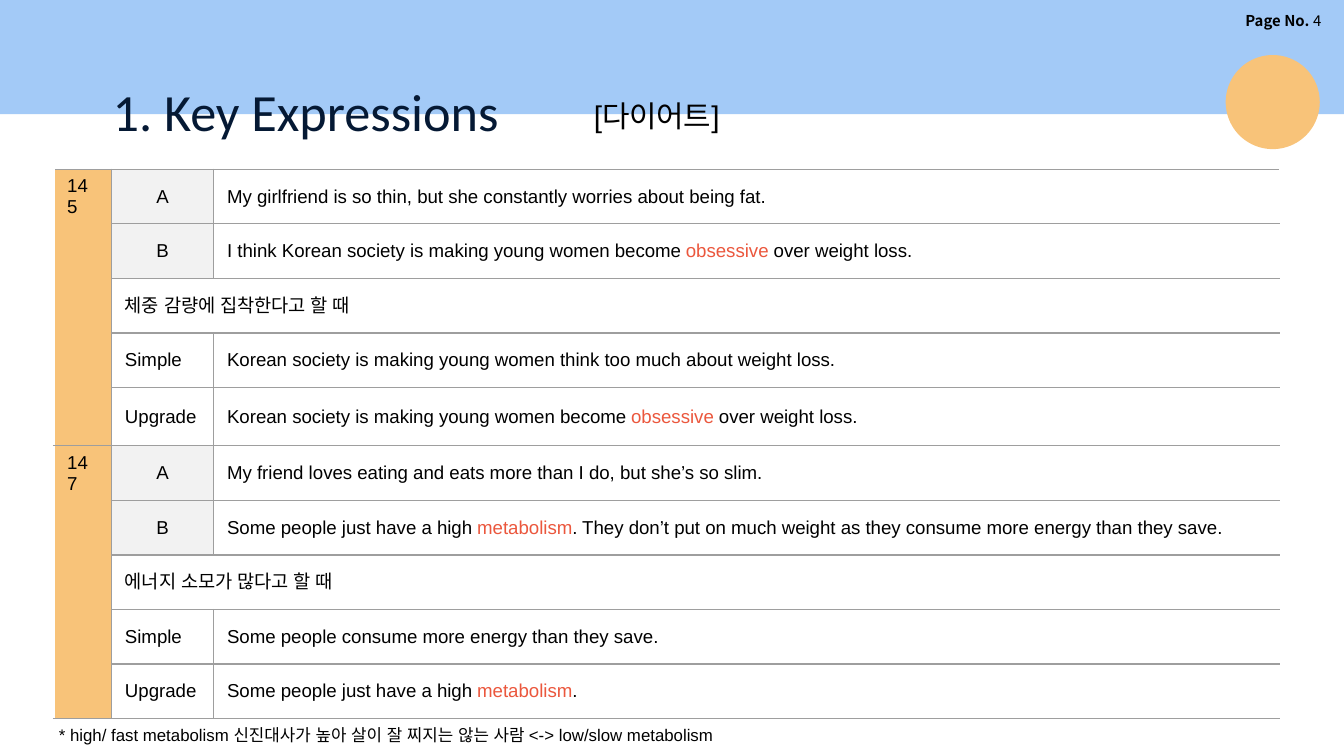
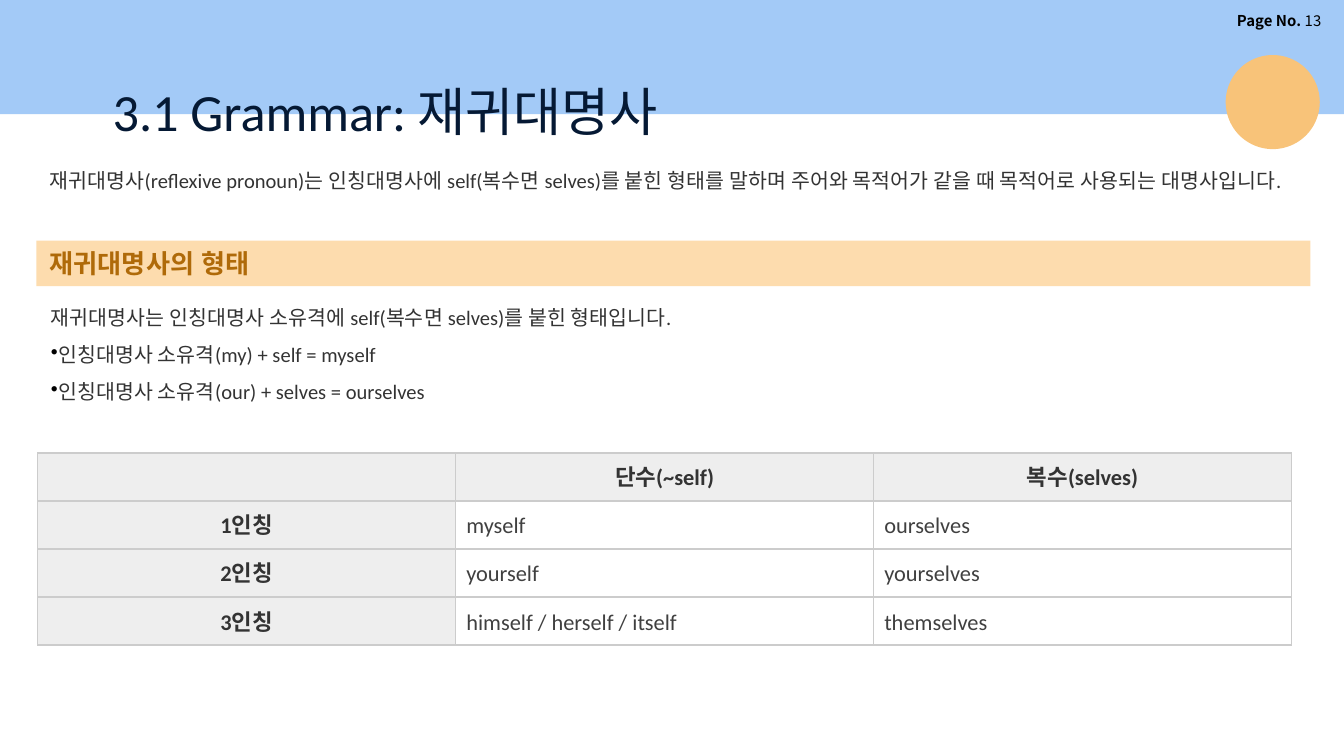
from lxml.etree import SubElement as Sub
from pptx import Presentation
from pptx.dml.color import RGBColor
from pptx.enum.shapes import MSO_SHAPE as Kind
from pptx.enum.text import MSO_ANCHOR as Anchor, PP_ALIGN as Align
from pptx.oxml import parse_xml
from pptx.oxml.ns import nsdecls, qn
from pptx.util import Inches, Pt

WIDE, HIGH = Inches(10), Inches(5.625)
UNIT = WIDE // 100

BLUE, GOLD, CREAM = "A3CAF7", "F8C379", "FDDCAE"
NAVY, BROWN, CORAL = "051934", "AF6A09", "EB573D"
BLACK, WHITE, DARK, SLATE = "000000", "FFFFFF", "333333", "404040"
PALE, MIST, RULE, LINE = "F2F2F2", "EEEEEE", "9E9E9E", "CCCCCC"


def font(name, size, color=BLACK, bold=False):
    return dict(name=name, size=Pt(size), bold=bold, color=color)


TITLE = font("Calibri", 28, NAVY)
TOPIC = font("Arial", 16)
PAGE = font("Noto Sans CJK KR", 8)
CELL = font("Arial", 10)
NOTE = font("Arial", 9)
HEAD = font("Arial", 14, BROWN, True)
BODY = font("Calibri", 11, DARK)
LABEL = font("Calibri", 12, DARK, True)
FORM = font("Calibri", 12, SLATE)

LESSONS = [
    ("145", "obsessive",
     "My girlfriend is so thin, but she constantly worries about being fat.",
     "I think Korean society is making young women become obsessive over weight loss.",
     "체중 감량에 집착한다고 할 때",
     "Korean society is making young women think too much about weight loss.",
     "Korean society is making young women become obsessive over weight loss."),
    ("147", "metabolism",
     "My friend loves eating and eats more than I do, but she’s so slim.",
     "Some people just have a high metabolism. They don’t put on much weight "
     "as they consume more energy than they save.",
     "에너지 소모가 많다고 할 때",
     "Some people consume more energy than they save.",
     "Some people just have a high metabolism."),
]
TAGS = ["A", "B", None, "Simple", "Upgrade"]

FORMS = [
    ["", "단수(~self)", "복수(selves)"],
    ["1인칭", "myself", "ourselves"],
    ["2인칭", "yourself", "yourselves"],
    ["3인칭", "himself / herself / itself", "themselves"],
]


def rgb(code):
    return RGBColor.from_string(code)


def grid(*spots):
    return [round(spot * UNIT) for spot in spots]


def paint(item, code):
    item.fill.solid()
    item.fill.fore_color.rgb = rgb(code)


def write(para, text, form, **more):
    run = para.add_run()
    run.text = text
    form = {**form, **more}
    run.font.color.rgb = rgb(form.pop("color"))
    for key, value in form.items():
        setattr(run.font, key, value)
    Sub(run.font._element, qn("a:ea"), typeface=form["name"])


def label(slide, spot, text, form, **more):
    box = slide.shapes.add_textbox(*grid(*spot))
    box.text_frame.word_wrap = True
    para = box.text_frame.paragraphs[0]
    write(para, text, form, **more)
    return box.text_frame


def shape(slide, kind, spot, code):
    item = slide.shapes.add_shape(kind, *grid(*spot))
    item.shadow.inherit = False
    item.line.fill.background()
    paint(item, code)
    return item


def dot(para):
    props = para._p.get_or_add_pPr()
    tint = Sub(props, qn("a:buClr"))
    Sub(tint, qn("a:srgbClr"), val=BLACK)
    Sub(props, qn("a:buChar"), char="•")


def edge(cell, **sides):
    props = cell._tc.get_or_add_tcPr()
    for spot, side in enumerate("LRTB"):
        code, width = sides[side]
        props.insert(spot, parse_xml(
            f'<a:ln{side} {nsdecls("a")} w="{Pt(width)}"><a:solidFill>'
            f'<a:srgbClr val="{code}"/></a:solidFill></a:ln{side}>'))


def table(slide, spot, cols, rows):
    frame = slide.shapes.add_table(rows, len(cols), *grid(*spot))
    made = frame.table
    made.first_row = made.horz_banding = False
    for col, width in zip(made.columns, grid(*cols)):
        col.width = width
    for row in made.rows:
        row.height = round(spot[3] * UNIT / rows)
    return made


def pad(cell, left, top, right, bottom):
    sides = dict(left=left, top=top, right=right, bottom=bottom)
    for side, gap in sides.items():
        setattr(cell, f"margin_{side}", Inches(gap))


def base(deck, number, title, width):
    slide = deck.slides.add_slide(deck.slide_layouts[6])
    shape(slide, Kind.RECTANGLE, (0, 0, 100, 8.5), BLUE)
    page = label(slide, (84.8, 0.4, 14.5, 2.3), "Page No. ", PAGE, bold=True)
    page.paragraphs[0].alignment = Align.RIGHT
    write(page.paragraphs[0], number, PAGE)
    head = label(slide, (7.4, 4.9, width, 6.3), title, TITLE)
    head.margin_top = head.margin_bottom = Inches(0.1)
    shape(slide, Kind.OVAL, (91.2, 4.1, 7, 7), GOLD)
    return slide, head.paragraphs[0]


def lesson(made, top, number, hot, *lines):
    made.cell(top, 0).merge(made.cell(top + len(TAGS) - 1, 0))
    write(made.cell(top, 0).text_frame.paragraphs[0], number, CELL)
    for row, (tag, line) in enumerate(zip(TAGS, lines), top):
        mark, name, text = (made.cell(row, col) for col in range(3))
        paint(mark, GOLD)
        for cell in (name, text):
            cell.vertical_anchor = Anchor.MIDDLE
            cell.fill.background()
        if tag:
            para = name.text_frame.paragraphs[0]
            write(para, tag, CELL)
            if len(tag) == 1:
                paint(name, PALE)
                para.alignment = Align.CENTER
        else:
            name.merge(text)
        para = (text if tag else name).text_frame.paragraphs[0]
        for part, code in zip(line.partition(hot), (BLACK, CORAL, BLACK)):
            if part:
                write(para, part, CELL, color=code)
        gray, white = (RULE, 0.75), (WHITE, 1)
        edge(mark, L=white, R=gray, T=gray, B=gray)
        edge(name, L=gray, R=gray if tag else white, T=gray, B=gray)
        edge(text, L=gray, R=white, T=gray, B=gray)


def phrases(deck):
    slide, _ = base(deck, "4", "1. Key Expressions", 35.8)
    size = len(TAGS)
    made = table(slide, (4, 12.6, 91.2, 40.6), (4.3, 7.6, 79.3),
                 size * len(LESSONS))
    for turn, entry in enumerate(LESSONS):
        lesson(made, turn * size, *entry)
    label(slide, (43.2, 6.8, 24.4, 3.7), "[다이어트]", TOPIC)
    label(slide, (3.4, 53.4, 96.6, 2.5),
          "* high/ fast metabolism 신진대사가 높아 살이 잘 찌지는 않는 사람 "
          "<-> low/slow metabolism", NOTE)


def chart(slide):
    made = table(slide, (2.8, 33.7, 93.3, 14.3), [31.1] * 3, len(FORMS))
    for row, words in enumerate(FORMS):
        for col, word in enumerate(words):
            cell = made.cell(row, col)
            cell.vertical_anchor = Anchor.MIDDLE
            body = row > 0 and col > 0
            paint(cell, WHITE if body else MIST)
            pad(cell, *((0.08, 0.07, 0.05, 0.05) if body
                        else (0.1, 0.07, 0.1, 0.05)))
            para = cell.text_frame.paragraphs[0]
            if word:
                write(para, word, FORM if body else LABEL)
            else:
                Sub(para._p, qn("a:endParaRPr"), sz="1200")
            if not body:
                para.alignment = Align.CENTER
            inner = dict(L=body, R=row > 0 and col < 2,
                         T=body, B=col > 0 and row < 3)
            edge(cell, **{side: (LINE, 1 if thick else 0.75)
                          for side, thick in inner.items()})


def grammar(deck):
    slide, head = base(deck, "13", "3.1 Grammar: ", 77.3)
    write(head, "재귀대명사", TITLE, name="Arial")
    bar = shape(slide, Kind.RECTANGLE, (2.7, 17.9, 94.8, 3.4), CREAM)
    bar.text_frame.vertical_anchor = Anchor.MIDDLE
    para = bar.text_frame.paragraphs[0]
    para.alignment = Align.LEFT
    write(para, "재귀대명사의 형태", HEAD)
    rules = label(slide, (2.8, 21.3, 94.5, 9),
                  "재귀대명사는 인칭대명사 소유격에 self(복수면 selves)를 "
                  "붙힌 형태입니다.", BODY)
    for text in ("인칭대명사 소유격(my) + self = myself",
                 "인칭대명사 소유격(our) + selves = ourselves"):
        para = rules.add_paragraph()
        dot(para)
        write(para, text, BODY)
    for para in rules.paragraphs:
        para.line_spacing = 1.5
    label(slide, (2.7, 12, 94.5, 4.7),
          "재귀대명사(reflexive pronoun)는 인칭대명사에 self(복수면 selves)를 "
          "붙힌 형태를 말하며 주어와 목적어가 같을 때 목적어로 사용되는 "
          "대명사입니다.", BODY)
    chart(slide)


def main():
    deck = Presentation()
    deck.slide_width, deck.slide_height = WIDE, HIGH
    phrases(deck)
    grammar(deck)
    deck.save("out.pptx")


if __name__ == "__main__":
    main()
